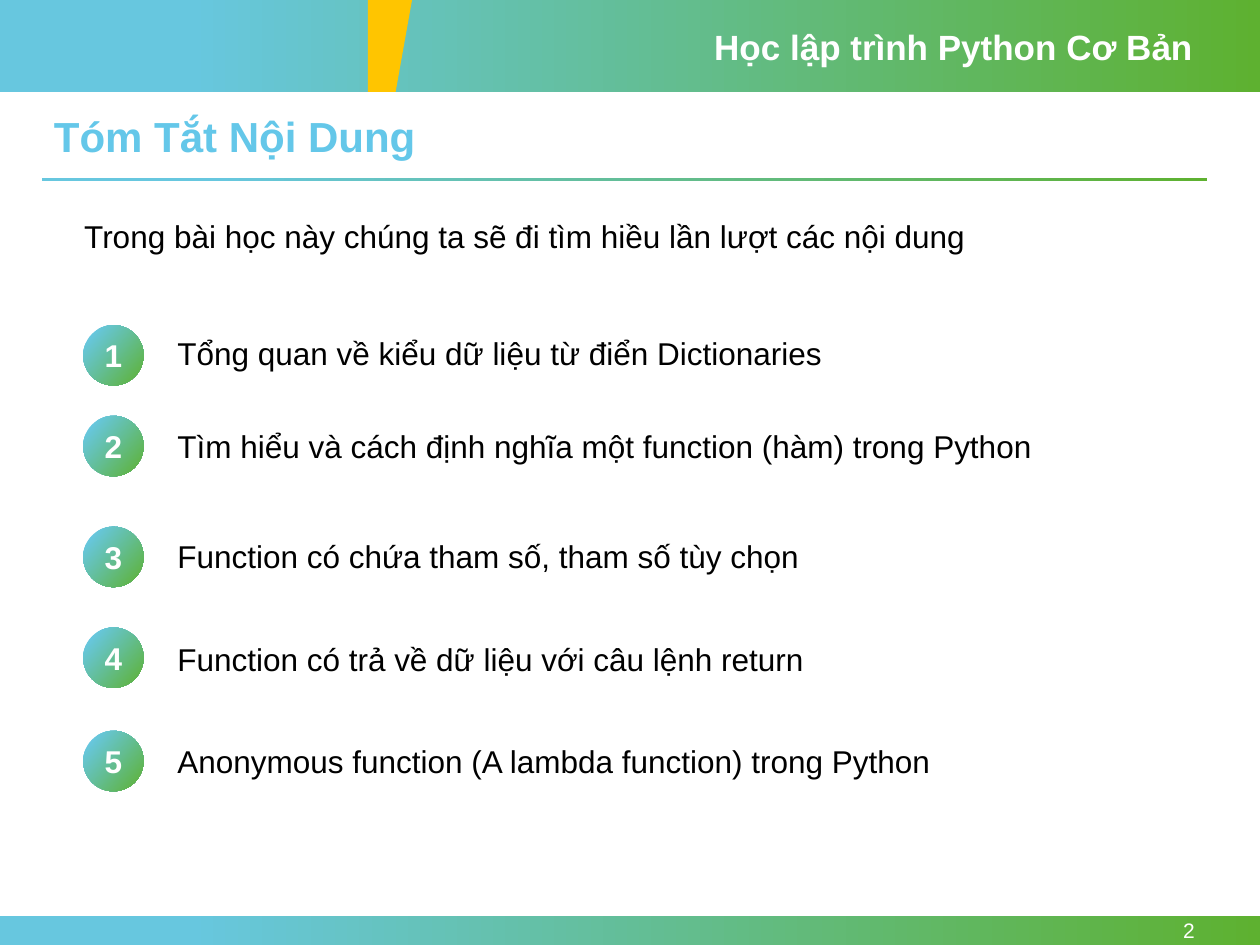
from dataclasses import dataclass, field
from typing import Any

from pptx import Presentation
from pptx.dml.color import RGBColor
from pptx.enum.shapes import MSO_SHAPE as Shape
from pptx.enum.text import MSO_ANCHOR as Anchor, MSO_AUTO_SIZE as AutoSize, PP_ALIGN as Align
from pptx.util import Emu, Pt

PX = 9144
BLUE, GREEN, YELLOW = "67C7DF", "5EB130", "FFC500"
WHITE, BLACK, TITLE_BLUE = "FFFFFF", "000000", "64C7E9"


@dataclass(frozen=True)
class Box:
    left: int
    top: int
    width: int
    height: int

    def emu(self) -> list[Emu]:
        return [px(n) for n in (self.left, self.top, self.width, self.height)]


@dataclass(frozen=True)
class Style:
    size: int
    color: str
    bold: bool = False
    para: dict[str, Any] = field(default_factory=dict)
    frame: dict[str, Any] = field(default_factory=dict)


@dataclass(frozen=True)
class Topic:
    text: str
    badge_top: int
    text_top: int
    width: int


GROW = {"word_wrap": True, "auto_size": AutoSize.SHAPE_TO_FIT_TEXT}
MIDDLE = {"word_wrap": True, "vertical_anchor": Anchor.MIDDLE}
COURSE = Style(20, WHITE, True, frame=GROW | {"word_wrap": False})
TITLE = Style(24, TITLE_BLUE, True, {"line_spacing": 0.9, "space_before": Pt(10)}, GROW)
BODY = Style(18, BLACK, frame=GROW)
BADGE = Style(18, WHITE, True, {"alignment": Align.CENTER}, MIDDLE)
PAGE_NUMBER = Style(12, WHITE, False, {"alignment": Align.RIGHT}, MIDDLE)

BANDS = [Box(0, 0, 1000, 73), Box(0, 727, 1000, 23), Box(33, 141, 925, 3)]
ACCENT = [(292, 0), (327, 0), (314, 73), (292, 73)]
TEXTS = [
    ("Học lập trình Python Cơ Bản", Box(557, 15, 400, 44), COURSE),
    ("2", Box(866, 727, 92, 23), PAGE_NUMBER),
    ("Tóm Tắt Nội Dung", Box(33, 87, 925, 46), TITLE),
    ("Trong bài học này chúng ta sẽ đi tìm hiều lần lượt các nội dung", Box(57, 167, 901, 40), BODY),
]
TOPICS = [
    Topic("Tổng quan về kiểu dữ liệu từ điển Dictionaries", 258, 260, 709),
    Topic("Tìm hiểu và cách định nghĩa một function (hàm) trong Python", 330, 334, 709),
    Topic("Function có chứa tham số, tham số tùy chọn", 418, 421, 566),
    Topic("Function có trả về dữ liệu với câu lệnh return", 498, 503, 566),
    Topic("Anonymous function (A lambda function) trong Python", 580, 584, 627),
]


def px(length: int) -> Emu:
    return Emu(length * PX)


def rgb(color: str) -> RGBColor:
    return RGBColor.from_string(color)


def apply(target: Any, values: dict[str, Any]) -> None:
    for name, value in values.items():
        setattr(target, name, value)


def write(shape: Any, text: str, style: Style) -> None:
    frame = shape.text_frame
    apply(frame, style.frame)
    para = frame.paragraphs[0]
    apply(para, style.para)
    span = para.add_run()
    span.text = text
    apply(span.font, {"name": "Arial", "size": Pt(style.size), "bold": style.bold})
    span.font.color.rgb = rgb(style.color)


def add_text(page: Any, text: str, box: Box, style: Style) -> None:
    write(page.shapes.add_textbox(*box.emu()), text, style)


def add_gradient(page: Any, kind: Shape, box: Box, angle: int = 0) -> Any:
    shape = page.shapes.add_shape(kind, *box.emu())
    shape.shadow.inherit = False
    shape.line.fill.background()
    shape.fill.gradient()
    shape.fill.gradient_angle = angle
    for stop, position, color in zip(shape.fill.gradient_stops, (0.15, 1), (BLUE, GREEN)):
        stop.position = position
        stop.color.rgb = rgb(color)
    return shape


def add_accent(page: Any) -> None:
    start, *corners = ACCENT
    builder = page.shapes.build_freeform(*start, scale=PX)
    builder.add_line_segments(corners, close=True)
    shape = builder.convert_to_shape()
    shape.shadow.inherit = False
    shape.line.fill.background()
    shape.fill.solid()
    shape.fill.fore_color.rgb = rgb(YELLOW)


def add_topic(page: Any, number: int, topic: Topic) -> None:
    badge = add_gradient(page, Shape.OVAL, Box(66, topic.badge_top, 48, 48), angle=320)
    write(badge, str(number), BADGE)
    add_text(page, topic.text, Box(131, topic.text_top, topic.width, 40), BODY)


def main() -> None:
    deck = Presentation()
    apply(deck, {"slide_width": px(1000), "slide_height": px(750)})
    page = deck.slides.add_slide(deck.slide_layouts[6])
    for band in BANDS:
        add_gradient(page, Shape.RECTANGLE, band)
    add_accent(page)
    for text, box, style in TEXTS:
        add_text(page, text, box, style)
    for number, topic in enumerate(TOPICS, 1):
        add_topic(page, number, topic)
    deck.save("out.pptx")


if __name__ == "__main__":
    main()
